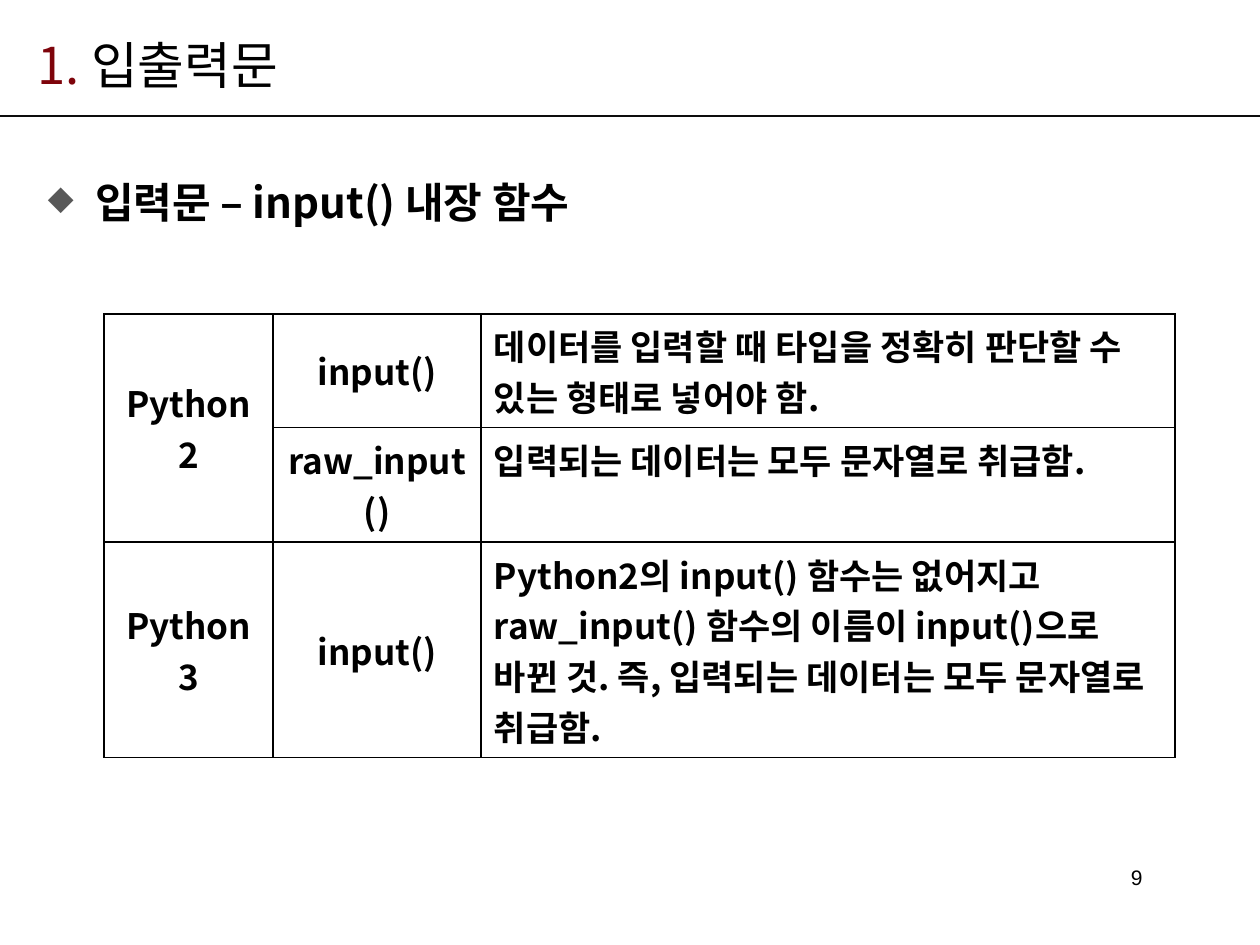
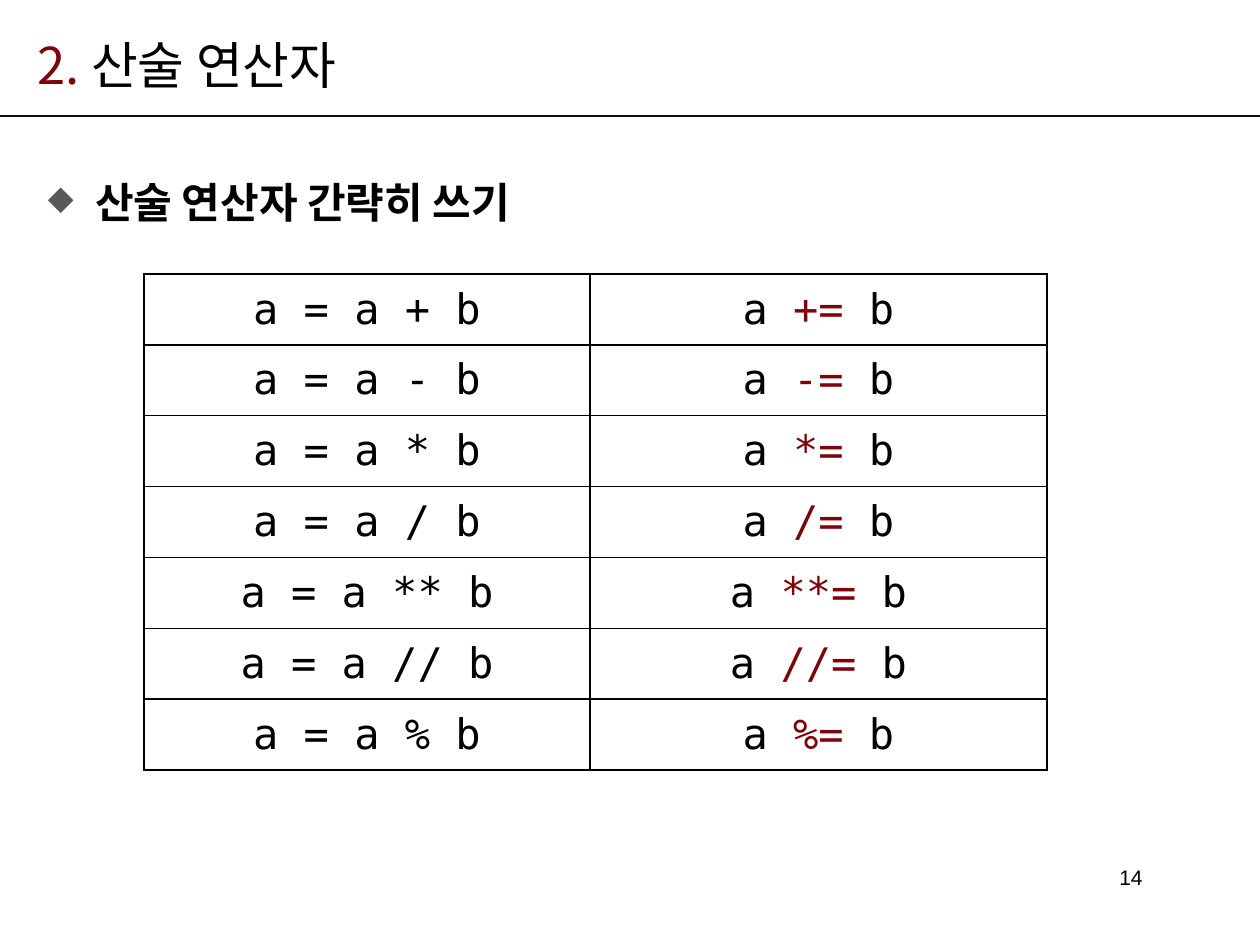
from lxml import etree
from pptx import Presentation
from pptx.dml.color import RGBColor
from pptx.enum.shapes import MSO_CONNECTOR
from pptx.enum.text import MSO_ANCHOR, PP_ALIGN
from pptx.oxml.ns import qn
from pptx.util import Pt

LEFT, MID, RIGHT = PP_ALIGN.LEFT, PP_ALIGN.CENTER, PP_ALIGN.RIGHT
TOP, CENTER = MSO_ANCHOR.TOP, MSO_ANCHOR.MIDDLE
STRAIGHT = MSO_CONNECTOR.STRAIGHT
BLACK, RED, GRAY, RULE = "000000", "7E040B", "585858", "0D0D0D"
SANS, MONO, PLAIN = "Noto Sans CJK KR", "DejaVu Sans Mono", "Arial"


def color(text):
    return RGBColor.from_string(text)


def add(node, tag, **attrs):
    return etree.SubElement(node, qn(tag), attrs)


class Deck:
    def __init__(self):
        self.file = Presentation()
        self.file.slide_width, self.file.slide_height = Pt(720), Pt(540)

    def start(self, number, title, head, page):
        self.slide = self.file.slides.add_slide(self.file.slide_layouts[6])
        self.rule(66.25)
        self.text(14.4, 15, 607, 44, [(number + " ", RED), (title, BLACK)], 29)
        self.text(496, 491.5, 164, 20, page, 12, PLAIN, align=RIGHT)
        self.point(head)

    def rule(self, y):
        line = self.slide.shapes.add_connector(STRAIGHT, 0, Pt(y), Pt(720), Pt(y))
        line.line.color.rgb = color(RULE)
        line.line.width = Pt(1.5)
        add(line._element.spPr, "a:effectLst")

    def fill(self, para, runs, size, face=SANS, bold=False, align=LEFT):
        para.alignment = align
        font = para.font
        font.size, font.name, font.bold = Pt(size), face, bold
        font.color.rgb = color(BLACK)
        add(font._element, "a:ea", typeface=face)
        if isinstance(runs, str):
            para.add_run().text = runs
            return
        for text, shade in runs:
            run = para.add_run()
            run.text = text
            run.font.color.rgb = color(shade)

    def text(self, x, y, w, h, runs, size, face=SANS, bold=False, align=LEFT, anchor=CENTER):
        box = self.slide.shapes.add_textbox(Pt(x), Pt(y), Pt(w), Pt(h))
        frame = box.text_frame
        frame.word_wrap = True
        frame.vertical_anchor = anchor
        para = frame.paragraphs[0]
        self.fill(para, runs, size, face, bold, align)
        return para

    def point(self, head):
        para = self.text(20.2, 82.8, 655, 57, head, 24, bold=True, anchor=TOP)
        para.line_spacing, para.space_before = 1.5, Pt(4.8)
        props = para._p.get_or_add_pPr()
        props.set("marL", str(Pt(27)))
        props.set("indent", str(Pt(-27)))
        add(add(props, "a:buClr"), "a:srgbClr", val=GRAY)
        add(props, "a:buSzPct", val="80000")
        add(props, "a:buChar", char="◆")
        props.append(para.font._element)

    def edge(self, cell):
        props = cell._tc.get_or_add_tcPr()
        for side in "LRTB":
            line = add(props, "a:ln" + side, w=str(Pt(1)))
            add(add(line, "a:solidFill"), "a:srgbClr", val=BLACK)
        cell.fill.background()

    def table(self, x, y, cols, rows, data, style):
        shape = self.slide.shapes.add_table(
            len(rows), len(cols), Pt(x), Pt(y), Pt(sum(cols)), Pt(sum(rows)))
        grid = shape.table
        grid.first_row = grid.horz_banding = False
        for col, width in zip(grid.columns, cols):
            col.width = Pt(width)
        for row, height, items in zip(grid.rows, rows, data):
            row.height = Pt(height)
            for cell, item in zip(row.cells, items):
                self.edge(cell)
                cell.vertical_anchor = CENTER
                if item:
                    self.fill(cell.text_frame.paragraphs[0], item, align=MID, **style)
        return grid


def main():
    deck = Deck()

    deck.start("1.", "입출력문", "입력문 – input() 내장 함수", "9")
    calls = [
        ("Python2", "input()",
         "데이터를 입력할 때 타입을 정확히 판단할 수 있는 형태로 넣어야 함."),
        (None, "raw_input()", "입력되는 데이터는 모두 문자열로 취급함."),
        ("Python3", "input()",
         "Python2의 input() 함수는 없어지고 raw_input() 함수의 이름이 input()으로 "
         "바뀐 것. 즉, 입력되는 데이터는 모두 문자열로 취급함."),
    ]
    grid = deck.table(59.5, 179.3, [96.5, 119, 396.5], [65, 65.5, 123], calls,
                      dict(size=20, bold=True))
    grid.cell(0, 0).merge(grid.cell(1, 0))
    for row in grid.rows:
        note = row.cells[2]
        note.vertical_anchor = TOP
        note.text_frame.paragraphs[0].alignment = LEFT

    deck.start("2.", "산술 연산자", "산술 연산자 간략히 쓰기", "14")
    signs = ["+", "-", "*", "/", "**", "//", "%"]
    forms = [(f"a = a {sign} b", [("a ", BLACK), (sign + "=", RED), (" b", BLACK)])
             for sign in signs]
    deck.table(82.2, 156.6, [255, 261], [40.5] * len(signs), forms,
               dict(size=24, face=MONO))

    deck.file.save("out.pptx")


if __name__ == "__main__":
    main()
